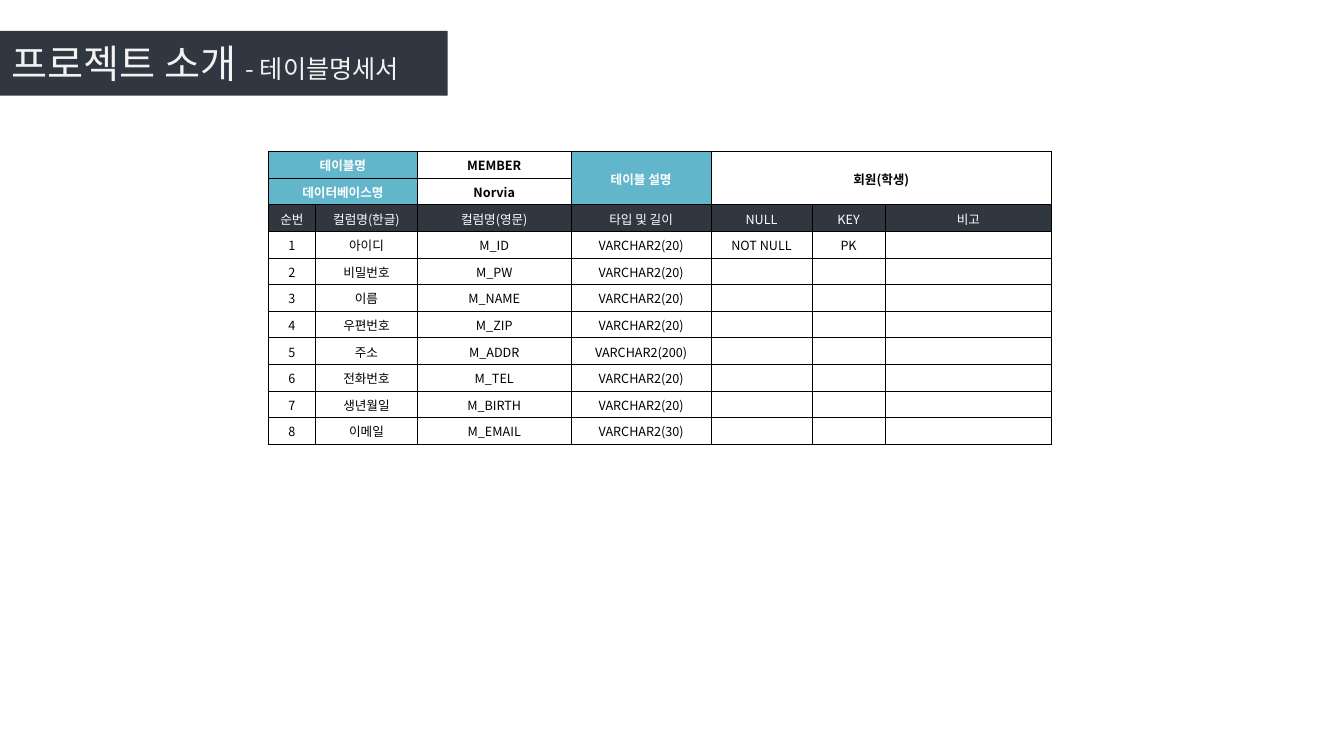
"""Builds the table specification slide of a project introduction."""
from lxml import etree
from pptx import Presentation
from pptx.dml.color import RGBColor
from pptx.enum.text import MSO_ANCHOR, MSO_AUTO_SIZE, PP_ALIGN
from pptx.oxml.ns import qn
from pptx.util import Cm, Pt

LEFT, CENTER = PP_ALIGN.LEFT, PP_ALIGN.CENTER
MIDDLE = MSO_ANCHOR.MIDDLE
NO_FIT = MSO_AUTO_SIZE.NONE

FONT = "Noto Sans CJK KR"
DARK = RGBColor(0x30, 0x37, 0x40)
TEAL = RGBColor(0x62, 0xB6, 0xCB)
WHITE = RGBColor(0xFF, 0xFF, 0xFF)
LIGHT = RGBColor(0xF2, 0xF2, 0xF2)
BLACK = RGBColor(0x00, 0x00, 0x00)

COL_WIDTHS = [1.19, 2.57, 3.87, 3.53, 2.54, 1.85, 4.19]
ROW_HEIGHT = 0.67
SUMMARY = [
    ["테이블명", "", "MEMBER", "테이블 설명", "회원(학생)", "", ""],
    ["데이터베이스명", "", "Norvia", "", "", "", ""],
]
HEADER = ["순번", "컬럼명(한글)", "컬럼명(영문)", "타입 및 길이", "NULL", "KEY", "비고"]
FIELDS = [
    ("아이디", "M_ID", 20, "NOT NULL", "PK"),
    ("비밀번호", "M_PW", 20, "", ""),
    ("이름", "M_NAME", 20, "", ""),
    ("우편번호", "M_ZIP", 20, "", ""),
    ("주소", "M_ADDR", 200, "", ""),
    ("전화번호", "M_TEL", 20, "", ""),
    ("생년월일", "M_BIRTH", 20, "", ""),
    ("이메일", "M_EMAIL", 30, "", ""),
]
MERGES = [(0, 0, 0, 1), (1, 0, 1, 1), (0, 3, 1, 3), (0, 4, 1, 6)]
LABEL_COLS = (0, 1, 3)


class SlideBuilder:
    """Holds the text style and the current slide."""

    def __init__(self, prs, font):
        self.s = prs.slides.add_slide(prs.slide_layouts[5])
        self.font = font

    def style(self, r, size, color, bold=False):
        """Format one run, for Latin and Korean text alike."""
        r.font.size = Pt(size)
        r.font.bold = bold
        r.font.color.rgb = color
        r.font.name = self.font
        etree.SubElement(r.font._element, qn("a:ea"), typeface=self.font)

    def title(self, parts, x, y, w, h, fill, color):
        """Place the title as a filled bar with runs of (text, size)."""
        sp = self.s.shapes.title
        sp.left, sp.top, sp.width, sp.height = Cm(x), Cm(y), Cm(w), Cm(h)
        sp.fill.solid()
        sp.fill.fore_color.rgb = fill
        tf = sp.text_frame
        tf.auto_size = NO_FIT
        tf.word_wrap = True
        tf.vertical_anchor = MIDDLE
        tf.margin_left, tf.margin_right = Cm(0.3), Cm(0.25)
        tf.margin_top = tf.margin_bottom = Cm(0.13)
        p = tf.paragraphs[0]
        p.alignment = LEFT
        for text, size in parts:
            r = p.add_run()
            r.text = text
            self.style(r, size, color)

    def table(self, rows, x, y, widths, row_height):
        """Add a plain table sized by its column widths and return it."""
        frame = self.s.shapes.add_table(
            len(rows), len(widths), Cm(x), Cm(y),
            Cm(sum(widths)), Cm(row_height * len(rows)))
        tbl = frame.table
        tbl.first_row = tbl.horz_banding = False
        for col, width in zip(tbl.columns, widths):
            col.width = Cm(width)
        for row in tbl.rows:
            row.height = Cm(row_height)
        return tbl

    def cell(self, cell, text, fill, color, bold, size=9):
        """Fill, border and write one table cell."""
        cell.margin_left = cell.margin_right = cell.margin_top = Cm(0.03)
        cell.margin_bottom = 0
        cell.vertical_anchor = MIDDLE
        self.borders(cell)
        cell.fill.solid()
        cell.fill.fore_color.rgb = fill
        p = cell.text_frame.paragraphs[0]
        p.text = text
        p.alignment = CENTER
        for r in p.runs:
            self.style(r, size, color, bold)
        etree.SubElement(p._p, qn("a:endParaRPr"), sz=str(size * 100))

    def borders(self, cell, width=0.5):
        """Draw a thin black line on each side of a cell."""
        tc_pr = cell._tc.get_or_add_tcPr()
        for side in ("lnL", "lnR", "lnT", "lnB"):
            ln = etree.SubElement(tc_pr, qn(f"a:{side}"), w=str(Pt(width)))
            solid = etree.SubElement(ln, qn("a:solidFill"))
            etree.SubElement(solid, qn("a:srgbClr"), val=str(BLACK))


def cell_colors(row, col):
    """Return the fill and text colours of a table position."""
    if row < len(SUMMARY) and col in LABEL_COLS:
        return TEAL, WHITE
    if row == len(SUMMARY):
        return DARK, WHITE
    return WHITE, BLACK


def main():
    """Build and save the slide."""
    prs = Presentation()
    prs.slide_width, prs.slide_height = Cm(33.87), Cm(19.05)
    builder = SlideBuilder(prs, FONT)

    fields = [[str(n), korean, english, f"VARCHAR2({length})", null, key, ""]
              for n, (korean, english, length, null, key) in enumerate(FIELDS, 1)]
    rows = SUMMARY + [HEADER] + fields
    tbl = builder.table(rows, 6.76, 3.82, COL_WIDTHS, ROW_HEIGHT)
    for i, row in enumerate(rows):
        for j, text in enumerate(row):
            fill, color = cell_colors(i, j)
            builder.cell(tbl.cell(i, j), text, fill, color, i < len(SUMMARY))
    for top, left, bottom, right in MERGES:
        tbl.cell(top, left).merge(tbl.cell(bottom, right))

    builder.title([("프로젝트 소개 ", 28), ("- 테이블명세서", 18)],
                  0, 0.78, 11.28, 1.63, DARK, LIGHT)
    prs.save("out.pptx")


if __name__ == "__main__":
    main()
